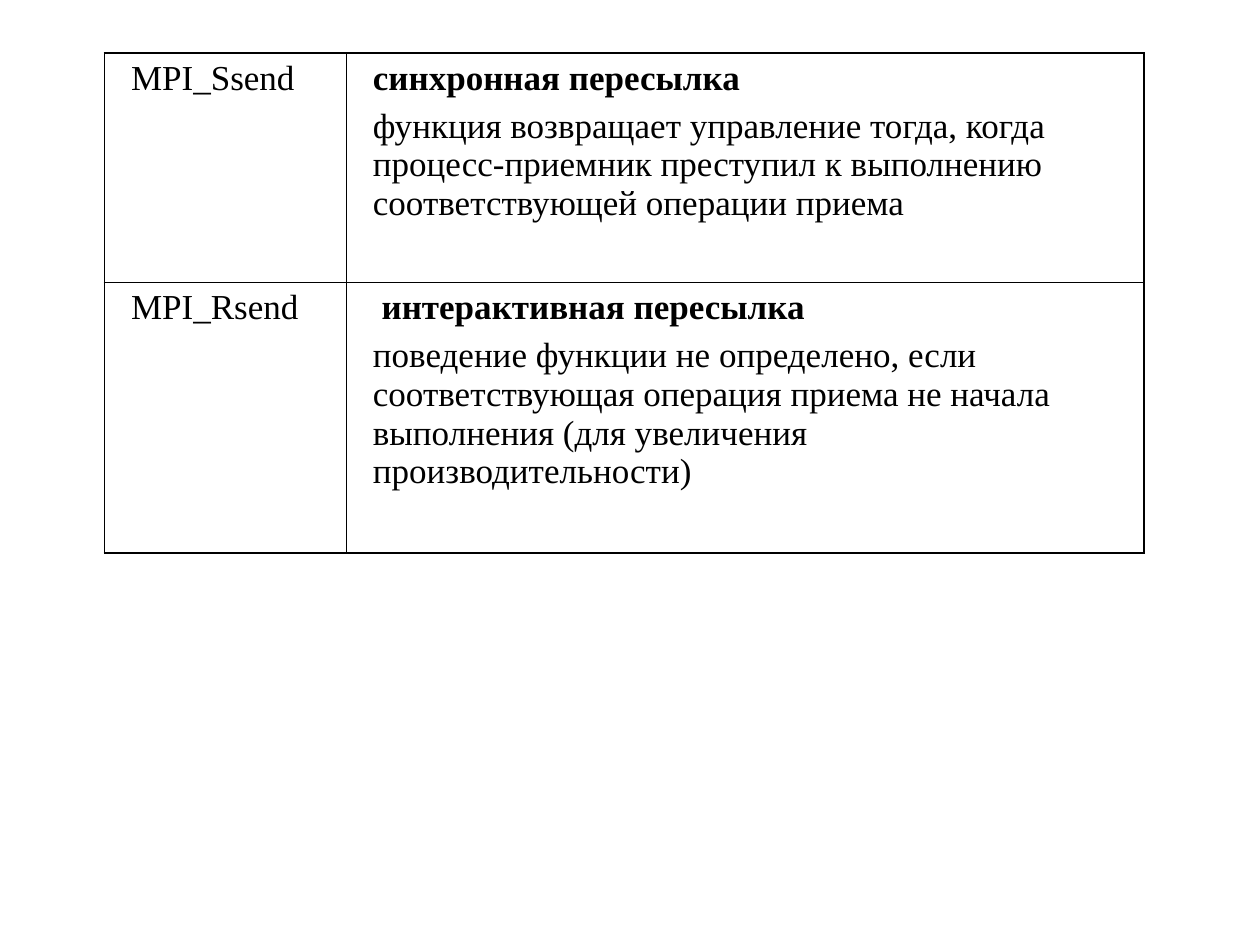
from lxml import etree
from pptx import Presentation
from pptx.dml.color import RGBColor
from pptx.oxml import ns
from pptx.util import Inches, Pt

BLACK = RGBColor(0, 0, 0)
FONT = "Times New Roman"
OUTER, INNER = Pt(1.08), Pt(0.45)
COLS = (1.92, 6.33)
ROWS = (1.82, 2.15)
SENDS = (
    ("MPI_Ssend", "синхронная пересылка",
     "функция возвращает управление тогда, когда процесс-приемник "
     "преступил к выполнению соответствующей операции приема"),
    ("MPI_Rsend", " интерактивная пересылка",
     "поведение функции не определено, если соответствующая операция "
     "приема не начала выполнения (для увеличения производительности)"),
)


def write(para, words, size=20, bold=False, before=0):
    para.space_before = Pt(before)
    run = para.add_run()
    run.text = words
    font = run.font
    font.name, font.size, font.bold = FONT, Pt(size), bold
    font.color.rgb = BLACK


def border(cell, side, width):
    props = cell._tc.get_or_add_tcPr()
    line = etree.SubElement(props, ns.qn(f"a:ln{side}"), w=str(width))
    fill = etree.SubElement(line, ns.qn("a:solidFill"))
    etree.SubElement(fill, ns.qn("a:srgbClr"), val=str(BLACK))


def style(cell, row, col):
    """Set margins, thick outer and thin inner borders, and no fill."""
    cell.margin_left = cell.margin_right = Inches(0.21)
    cell.margin_top = cell.margin_bottom = Inches(0.05)
    edges = {"L": col == 0, "R": col == len(COLS) - 1,
             "T": row == 0, "B": row == len(ROWS) - 1}
    for side, outer in edges.items():
        border(cell, side, OUTER if outer else INNER)
    cell.fill.background()


def add_grid(slide):
    frame = slide.shapes.add_table(
        len(ROWS), len(COLS), Inches(0.83), Inches(0.42),
        Inches(sum(COLS)), Inches(sum(ROWS)))
    table = frame.table
    table.first_row = table.horz_banding = False
    for col, width in zip(table.columns, COLS):
        col.width = Inches(width)
    for row, height in zip(table.rows, ROWS):
        row.height = Inches(height)
    return table


def main():
    prs = Presentation()
    prs.slide_width, prs.slide_height = Inches(10), Inches(7.5)
    slide = prs.slides.add_slide(prs.slide_layouts[6])
    table = add_grid(slide)
    for row, (name, title, note) in enumerate(SENDS):
        left, right = table.cell(row, 0), table.cell(row, 1)
        style(left, row, 0)
        style(right, row, 1)
        write(left.text_frame.paragraphs[0], name)
        write(right.text_frame.paragraphs[0], title, bold=True)
        write(right.text_frame.add_paragraph(), note, before=5)
    prs.save("out.pptx")


if __name__ == "__main__":
    main()
